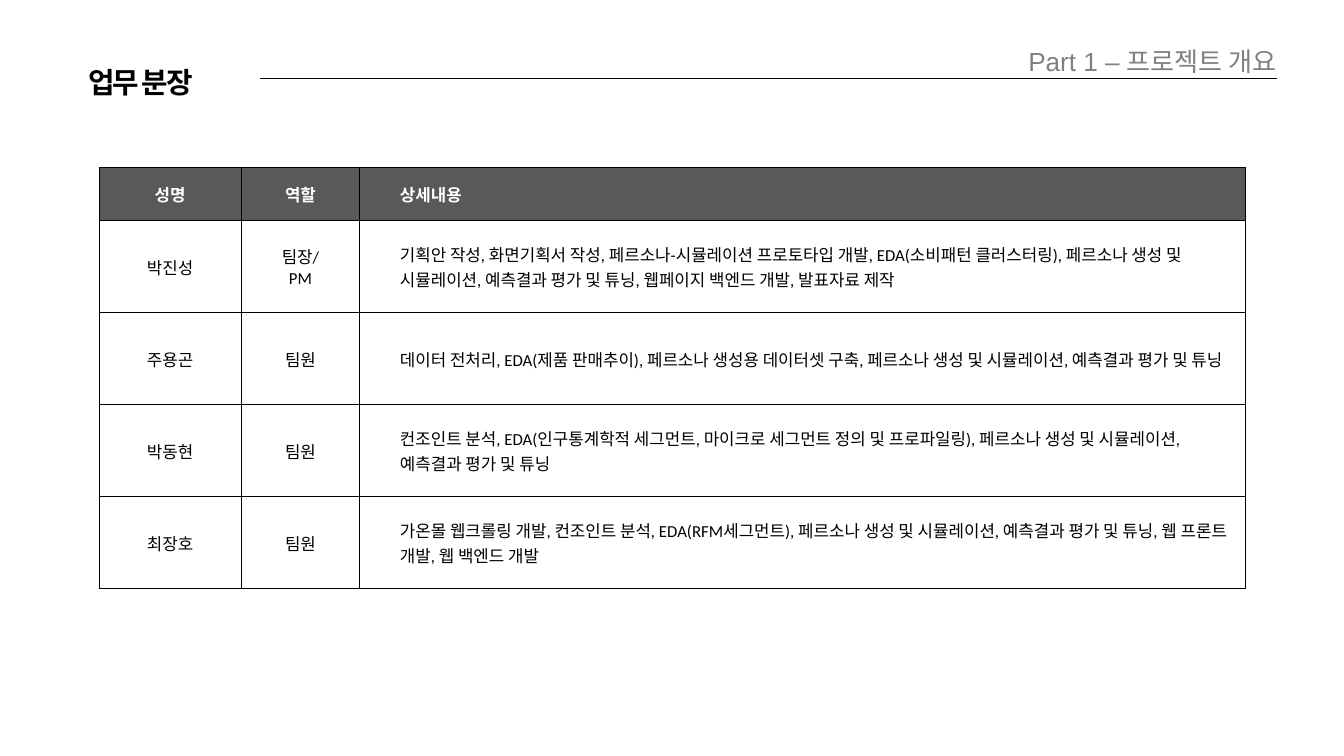
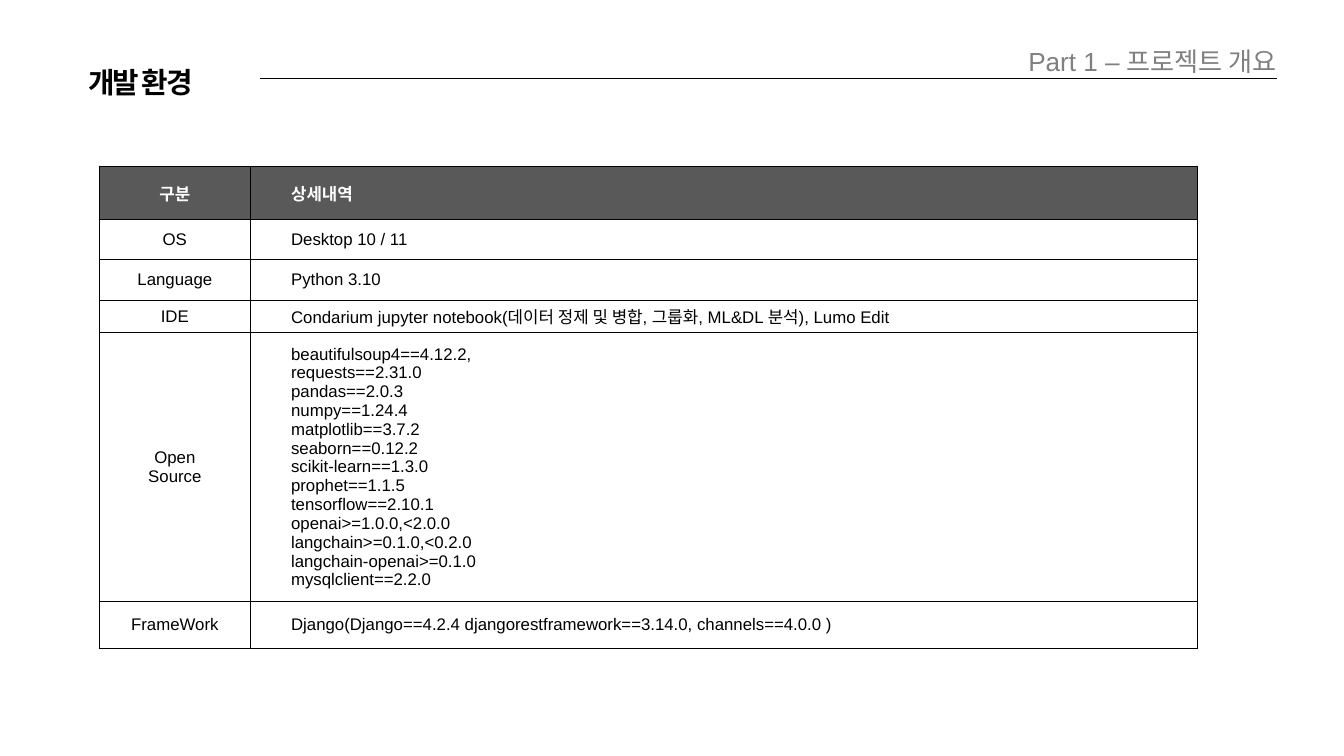
import pptx
import pptx.util
import pptx.dml.color
import pptx.enum.shapes
import pptx.enum.text
import pptx.oxml.ns
from lxml import etree

Pt = pptx.util.Pt
ALIGN = pptx.enum.text.PP_ALIGN
qn = pptx.oxml.ns.qn

COLORS = {"ink": "000000", "section": "808080", "header": "595959", "header_text": "FFFFFF"}
SECTION = "Part 1 – 프로젝트 개요"
TABLE_LEFT = 106
HEADER_HEIGHT = 57

SLIDES = [
    {
        "title": "업무 분장",
        "top": 179.5,
        "body_font": "Calibri",
        "widths": [152.6, 126.7, 949],
        "heights": [98.6] * 4,
        "rows": [
            ("성명", "역할", "상세내용"),
            ("박진성", "팀장/\nPM",
             "기획안 작성, 화면기획서 작성, 페르소나-시뮬레이션 프로토타입 개발, EDA(소비패턴 클러스터링), "
             "페르소나 생성 및 시뮬레이션, 예측결과 평가 및 튜닝, 웹페이지 백엔드 개발, 발표자료 제작"),
            ("주용곤", "팀원",
             "데이터 전처리, EDA(제품 판매추이), 페르소나 생성용 데이터셋 구축, "
             "페르소나 생성 및 시뮬레이션, 예측결과 평가 및 튜닝"),
            ("박동현", "팀원",
             "컨조인트 분석, EDA(인구통계학적 세그먼트, 마이크로 세그먼트 정의 및 프로파일링), "
             "페르소나 생성 및 시뮬레이션, 예측결과 평가 및 튜닝"),
            ("최장호", "팀원",
             "가온몰 웹크롤링 개발, 컨조인트 분석, EDA(RFM세그먼트), 페르소나 생성 및 시뮬레이션, "
             "예측결과 평가 및 튜닝, 웹 프론트 개발, 웹 백엔드 개발"),
        ],
    },
    {
        "title": "개발 환경",
        "top": 178.3,
        "body_font": "Arial",
        "widths": [162.7, 1014.5],
        "heights": [43, 43, 35.3, 288, 50.5],
        "rows": [
            ("구분", "상세내역"),
            ("OS", "Desktop 10 / 11"),
            ("Language", "Python 3.10"),
            ("IDE", "Condarium jupyter notebook(데이터 정제 및 병합, 그룹화, ML&DL 분석), Lumo Edit"),
            ("Open\nSource",
             "beautifulsoup4==4.12.2,\nrequests==2.31.0\npandas==2.0.3\nnumpy==1.24.4\n"
             "matplotlib==3.7.2\nseaborn==0.12.2\nscikit-learn==1.3.0\nprophet==1.1.5\n"
             "tensorflow==2.10.1\nopenai>=1.0.0,<2.0.0\nlangchain>=0.1.0,<0.2.0\n"
             "langchain-openai>=0.1.0\nmysqlclient==2.2.0"),
            ("FrameWork", "Django(Django==4.2.4 djangorestframework==3.14.0, channels==4.0.0 )"),
        ],
    },
]


def rgb(name):
    return pptx.dml.color.RGBColor.from_string(COLORS[name])


def write(frame, text, size=18, font="Arial", color="ink", bold=False,
          align=ALIGN.LEFT, indent=0, leading=None, tracking=0):
    for index, line in enumerate(text.split("\n")):
        paragraph = frame.add_paragraph() if index else frame.paragraphs[0]
        paragraph.alignment = align
        if indent:
            paragraph.level = 1
            properties = paragraph._p.get_or_add_pPr()
            properties.set("marL", str(Pt(indent)))
            properties.set("indent", "0")
        if leading:
            paragraph.line_spacing = Pt(leading)
        run = paragraph.add_run()
        run.text = line
        run.font.size = Pt(size)
        run.font.name = font
        run.font.bold = bold
        run.font.color.rgb = rgb(color)
        if tracking:
            run._r.get_or_add_rPr().set("spc", str(tracking * 100))


def fit_frame(frame):
    frame.margin_left = frame.margin_top = frame.margin_right = frame.margin_bottom = 0
    frame.word_wrap = True
    frame.vertical_anchor = pptx.enum.text.MSO_ANCHOR.TOP
    frame.auto_size = pptx.enum.text.MSO_AUTO_SIZE.SHAPE_TO_FIT_TEXT


def add_heading(slide, title):
    rule = slide.shapes.add_connector(
        pptx.enum.shapes.MSO_CONNECTOR.STRAIGHT, Pt(278.6), Pt(84.2), Pt(1368), Pt(84.2))
    rule.line.color.rgb = rgb("ink")
    rule.line.width = Pt(0.75)
    etree.SubElement(rule._element.spPr, qn("a:effectLst"))

    heading = slide.shapes.title
    heading.left, heading.top, heading.width, heading.height = Pt(94.3), Pt(62.6), Pt(294.5), Pt(40.3)
    fit_frame(heading.text_frame)
    write(heading.text_frame, title, size=30.9, bold=True, leading=43.3, tracking=-2)

    section = slide.shapes.add_textbox(Pt(911.5), Pt(43.2), Pt(456.5), Pt(36.7))
    fit_frame(section.text_frame)
    write(section.text_frame, SECTION, size=28, color="section", align=ALIGN.RIGHT, leading=39.4)


def add_borders(cell, left, right):
    properties = cell._tc.get_or_add_tcPr()
    for side, width in (("L", left), ("R", right), ("T", 0.75), ("B", 0.75)):
        border = etree.SubElement(properties, qn("a:ln" + side), w=str(Pt(width)))
        fill = etree.SubElement(border, qn("a:solidFill"))
        etree.SubElement(fill, qn("a:srgbClr"), val=COLORS["ink"])


def add_details(slide, content):
    rows, widths = content["rows"], content["widths"]
    heights = [HEADER_HEIGHT] + content["heights"]
    last = len(widths) - 1
    details = slide.shapes.add_table(
        len(rows), len(widths), Pt(TABLE_LEFT), Pt(content["top"]),
        Pt(sum(widths)), Pt(sum(heights))).table
    details.horz_banding = False
    for column, width in zip(details.columns, widths):
        column.width = Pt(width)
    for r, (row, height) in enumerate(zip(rows, heights)):
        details.rows[r].height = Pt(height)
        for c, text in enumerate(row):
            cell = details.cell(r, c)
            cell.vertical_anchor = pptx.enum.text.MSO_ANCHOR.MIDDLE
            add_borders(cell, 1 if c else 0.75, 0.75 if c == last else 1)
            header = r == 0
            if header:
                cell.fill.solid()
                cell.fill.fore_color.rgb = rgb("header")
            else:
                cell.fill.background()
            write(cell.text_frame, text,
                  font="Calibri" if header else content["body_font"],
                  color="header_text" if header else "ink", bold=header,
                  align=ALIGN.LEFT if c == last else ALIGN.CENTER,
                  indent=36 if c == last else 0)


def main():
    deck = pptx.Presentation()
    deck.slide_width, deck.slide_height = Pt(1440), Pt(810)
    for content in SLIDES:
        slide = deck.slides.add_slide(deck.slide_layouts[5])
        add_heading(slide, content["title"])
        add_details(slide, content)
    deck.save("out.pptx")


if __name__ == "__main__":
    main()
